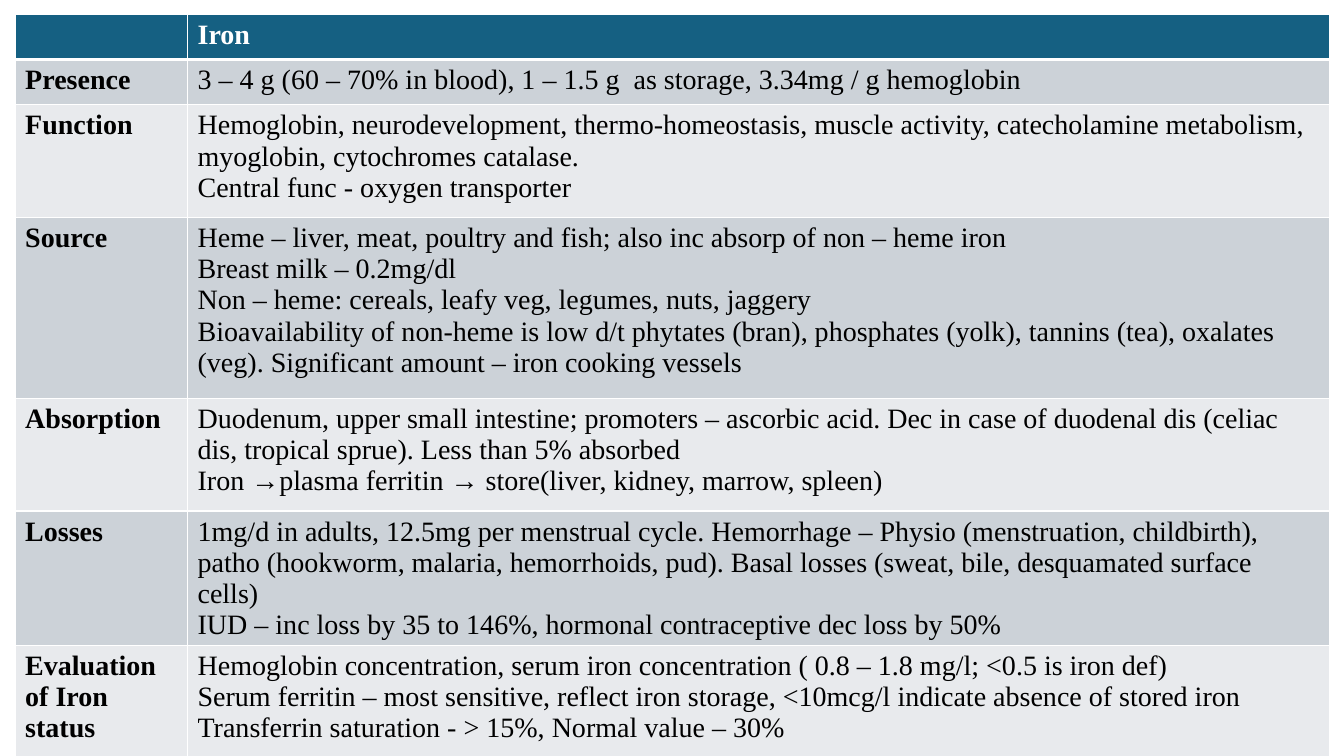
from dataclasses import dataclass

from lxml import etree
from pptx import Presentation
from pptx.dml.color import RGBColor
from pptx.oxml.ns import qn
from pptx.util import Inches, Pt

BLANK_LAYOUT = 6


@dataclass(frozen=True)
class Theme:
    """Colours, font and sizes of the slide."""
    header: str = "156082"
    bands: tuple = ("CCD2D8", "E8EAED")
    rule: str = "FFFFFF"
    header_text: str = "FFFFFF"
    body_text: str = "000000"
    font: str = "Times New Roman"
    size: int = 20
    thin: int = 1
    thick: int = 3


THEME = Theme()

COLUMN_WIDTHS = (1.71, 11.33)

IRON_ROWS = [
    (0.45, "", ["Iron"]),
    (0.45, "Presence", [
        "3 – 4 g (60 – 70% in blood), 1 – 1.5 g  as storage, 3.34mg / g hemoglobin",
    ]),
    (1.12, "Function", [
        "Hemoglobin, neurodevelopment, thermo-homeostasis, muscle activity, "
        "catecholamine metabolism, myoglobin, cytochromes catalase.",
        "Central func - oxygen transporter",
    ]),
    (1.79, "Source", [
        "Heme – liver, meat, poultry and fish; also inc absorp of non – heme iron",
        "Breast milk – 0.2mg/dl",
        "Non – heme: cereals, leafy veg, legumes, nuts, jaggery",
        "Bioavailability of non-heme is low d/t phytates (bran), phosphates (yolk), "
        "tannins (tea), oxalates (veg). Significant amount – iron cooking vessels",
    ]),
    (1.12, "Absorption", [
        "Duodenum, upper small intestine; promoters – ascorbic acid. Dec in case of "
        "duodenal dis (celiac dis, tropical sprue). Less than 5% absorbed",
        "Iron →plasma ferritin → store(liver, kidney, marrow, spleen)",
    ]),
    (1.12, "Losses", [
        "1mg/d in adults, 12.5mg per menstrual cycle. Hemorrhage – Physio "
        "(menstruation, childbirth), patho (hookworm, malaria, hemorrhoids, pud). "
        "Basal losses (sweat, bile, desquamated surface cells)",
        "IUD – inc loss by 35 to 146%, hormonal contraceptive dec loss by 50%",
    ]),
    (1.12, "Evaluation of Iron status", [
        "Hemoglobin concentration, serum iron concentration ( 0.8 – 1.8 mg/l; <0.5 is iron def)",
        "Serum ferritin – most sensitive, reflect iron storage, <10mcg/l indicate "
        "absence of stored iron",
        "Transferrin saturation - > 15%, Normal value – 30%",
    ]),
]


def set_borders(cell, widths):
    """Rule the cell edges, with widths in points keyed by edge."""
    properties = cell._tc.get_or_add_tcPr()
    for position, edge in enumerate(("lnL", "lnR", "lnT", "lnB")):
        width = widths.get(edge, THEME.thin)
        line = etree.Element(qn(f"a:{edge}"), w=str(Pt(width)))
        fill = etree.SubElement(line, qn("a:solidFill"))
        etree.SubElement(fill, qn("a:srgbClr"), val=THEME.rule)
        properties.insert(position, line)


def fill_cell(cell, lines, background, text_format):
    """Colour a cell and write one paragraph per line."""
    cell.fill.solid()
    cell.fill.fore_color.rgb = RGBColor.from_string(background)
    cell.text = "\n".join(lines)
    for para in cell.text_frame.paragraphs:
        for name, value in text_format.items():
            setattr(para.font, name, value)
        para.font.color.rgb = RGBColor.from_string(
            THEME.header_text if background == THEME.header else THEME.body_text)


def add_iron_table(page, left, top, rows):
    """Place the iron summary table with its corner at left, top."""
    width = sum(COLUMN_WIDTHS)
    height = sum(row[0] for row in rows)
    table = page.shapes.add_table(
        len(rows), len(COLUMN_WIDTHS),
        Inches(left), Inches(top), Inches(width), Inches(height)).table
    for column, column_width in zip(table.columns, COLUMN_WIDTHS):
        column.width = Inches(column_width)
    for index, (row_height, topic, facts) in enumerate(rows):
        table.rows[index].height = Inches(row_height)
        background = THEME.bands[(index - 1) % 2] if index else THEME.header
        widths = {0: {"lnB": THEME.thick}, 1: {"lnT": THEME.thick}}.get(index, {})
        for column, lines in enumerate(([topic], facts)):
            cell = table.cell(index, column)
            text_format = {"name": THEME.font, "size": Pt(THEME.size),
                           "bold": index == 0 or column == 0}
            fill_cell(cell, lines, background, text_format)
            set_borders(cell, widths)


def main():
    """Build and save the deck."""
    deck = Presentation()
    deck.slide_width = Inches(13.33)
    deck.slide_height = Inches(7.5)
    page = deck.slides.add_slide(deck.slide_layouts[BLANK_LAYOUT])
    add_iron_table(page, 0.15, 0.14, IRON_ROWS)
    deck.save("out.pptx")


if __name__ == "__main__":
    main()
